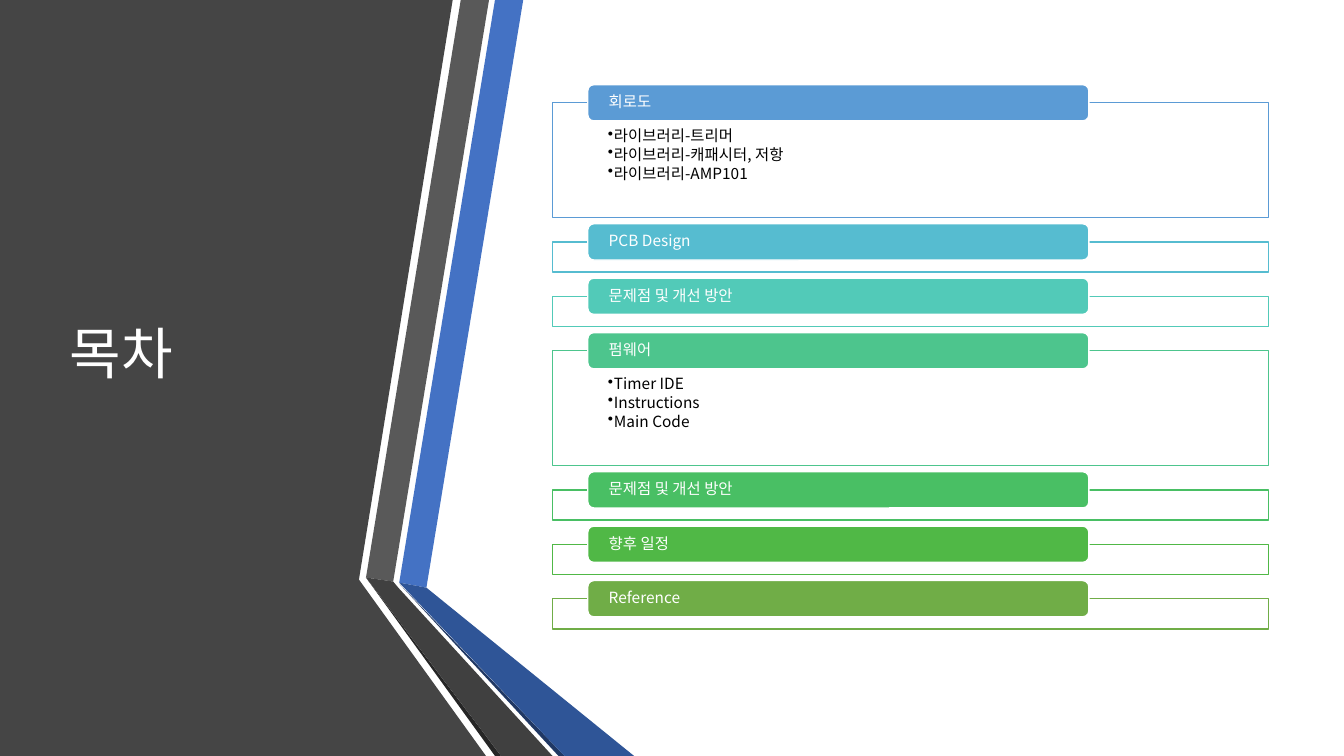
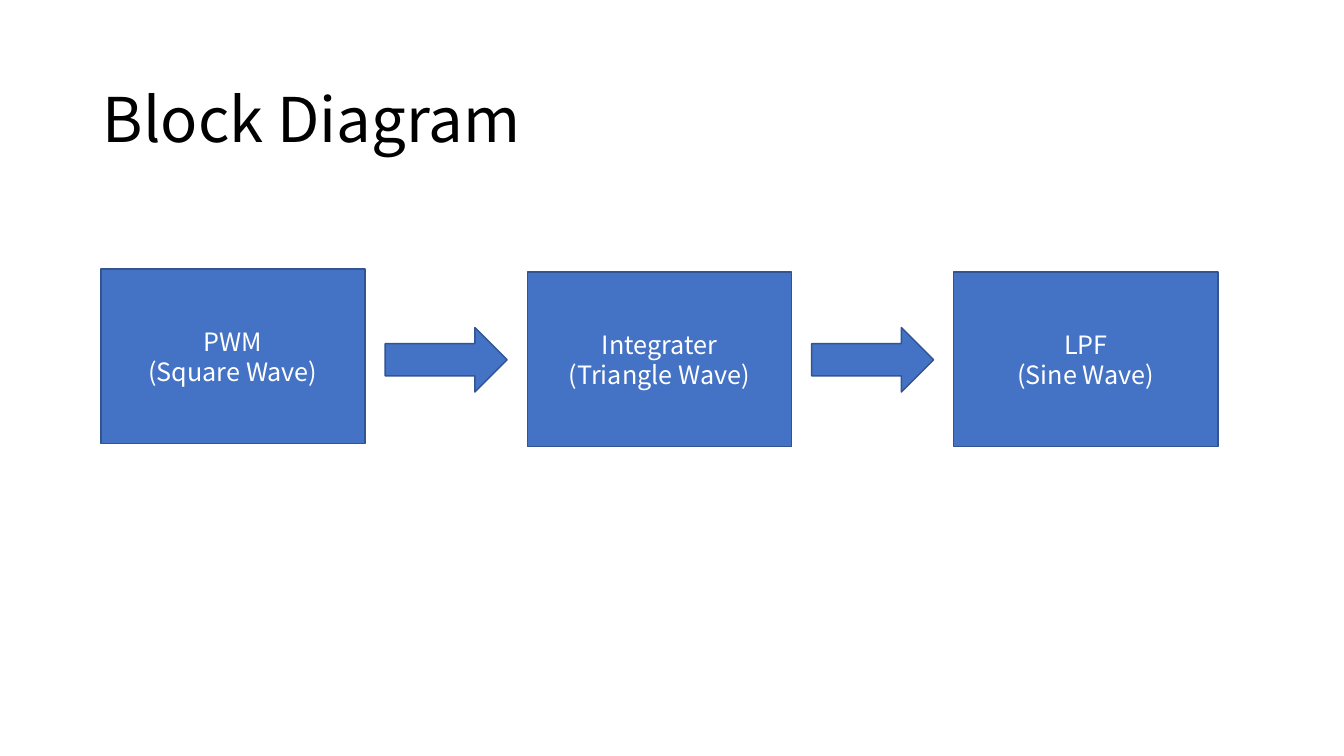
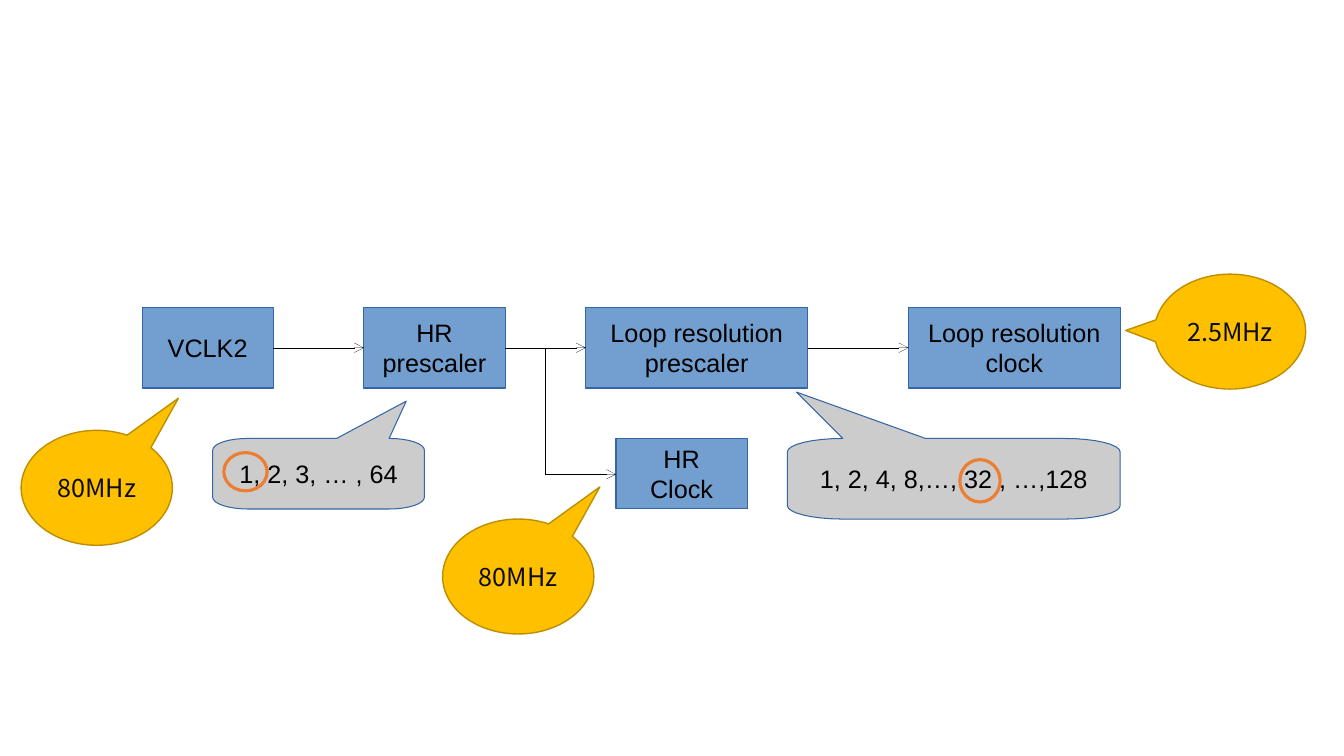
from math import cos, pi, sin

from lxml.etree import SubElement
from pptx import Presentation
from pptx.dml.color import RGBColor
from pptx.enum.shapes import MSO_CONNECTOR, MSO_SHAPE
from pptx.enum.text import MSO_ANCHOR, MSO_AUTO_SIZE, PP_ALIGN
from pptx.oxml.ns import qn
from pptx.util import Inches, Pt

FONT = "Noto Sans CJK KR"
DIAGRAM_FONT = "Arial"
WHITE = RGBColor(0xFF, 0xFF, 0xFF)
BLACK = RGBColor(0x00, 0x00, 0x00)
INK = RGBColor(0x0D, 0x0D, 0x0D)
BLUE = RGBColor(0x44, 0x72, 0xC4)
BLUE_EDGE = RGBColor(0x32, 0x54, 0x91)
BLUE_SHADE = RGBColor(0x2F, 0x55, 0x97)
NAVY = RGBColor(0x20, 0x38, 0x64)
PANEL = RGBColor(0x45, 0x45, 0x45)
GRAY = RGBColor(0x59, 0x59, 0x59)
GRAY_SHADE = RGBColor(0x40, 0x40, 0x40)
GRAY_DARK = RGBColor(0x26, 0x26, 0x26)
BLOCK = RGBColor(0x72, 0x9F, 0xCF)
BLOCK_EDGE = RGBColor(0x34, 0x65, 0xA4)
SILVER = RGBColor(0xCC, 0xCC, 0xCC)
ORANGE = RGBColor(0xED, 0x7D, 0x31)
GOLD = RGBColor(0xFF, 0xC0, 0x00)
GOLD_EDGE = RGBColor(0xBD, 0x8E, 0x00)


def paint(shape, fill=None, line=None, width=1):
    shape.shadow.inherit = False
    if fill is None:
        shape.fill.background()
    else:
        shape.fill.solid()
        shape.fill.fore_color.rgb = fill
    if line is None:
        shape.line.fill.background()
    else:
        shape.line.color.rgb = line
        shape.line.width = Pt(width)


def write(shape, lines, size, color, font=FONT, align=PP_ALIGN.CENTER):
    frame = shape.text_frame
    frame.word_wrap = True
    frame.auto_size = MSO_AUTO_SIZE.NONE
    frame.vertical_anchor = MSO_ANCHOR.MIDDLE
    for index, line in enumerate(lines):
        paragraph = frame.paragraphs[0] if index == 0 else frame.add_paragraph()
        paragraph.alignment = align
        run = paragraph.add_run()
        run.text = line
        run.font.size = Pt(size)
        run.font.color.rgb = color
        run.font.name = font
        SubElement(run._r.get_or_add_rPr(), qn("a:ea"), typeface=font)
    return frame


presentation = Presentation()
presentation.slide_width = Inches(13.33)
presentation.slide_height = Inches(7.5)
title_only, blank = presentation.slide_layouts[5], presentation.slide_layouts[6]

# Slides and titles
contents = presentation.slides.add_slide(title_only)
blocks = presentation.slides.add_slide(title_only)
clocks = presentation.slides.add_slide(blank)
for slide, text, size, color, box in (
    (contents, "목차", 40, WHITE, (0.59, 0.75, 3.04, 5.58)),
    (blocks, "Block Diagram", 44, BLACK, (0.92, 0.4, 11.5, 1.63)),
):
    title = slide.shapes.title
    title.left, title.top, title.width, title.height = map(Inches, box)
    frame = write(title, [text], size, color, align=PP_ALIGN.LEFT)
    frame.paragraphs[0].line_spacing = 0.9

# Contents: dark panel and folded bands
for color, points in (
    (PANEL, [(0, 0), (4.49, 0), (3.56, 5.75), (4.82, 7.5), (0, 7.5)]),
    (BLUE, [(3.96, 5.78), (4.23, 5.83), (5.19, 0), (4.91, 0)]),
    (GRAY, [(4.85, 0), (4.57, 0), (3.63, 5.73), (3.9, 5.77)]),
    (GRAY_DARK, [(3.63, 5.73), (4.91, 7.5), (4.97, 7.5)]),
    (NAVY, [(3.96, 5.79), (5.54, 7.5), (5.6, 7.5)]),
    (BLUE_SHADE, [(3.96, 5.78), (5.6, 7.5), (6.29, 7.5), (4.23, 5.83)]),
    (GRAY_SHADE, [(5.48, 7.5), (3.95, 5.83), (3.9, 5.77), (3.63, 5.73), (4.97, 7.5)]),
):
    corners = [(Inches(x), Inches(y)) for x, y in points]
    builder = contents.shapes.build_freeform(*corners[0])
    builder.add_line_segments(corners[1:])
    paint(builder.convert_to_shape(), color)

# The title belongs in front of the panel
title = contents.shapes.title
title.element.getparent().append(title.element)

# Contents: one framed section after another
tag_top = 0.84
for heading, items, color in (
    ("회로도", ["라이브러리-트리머", "라이브러리-캐패시터, 저항", "라이브러리-AMP101"],
     RGBColor(0x5B, 0x9B, 0xD5)),
    ("PCB Design", [], RGBColor(0x56, 0xBC, 0xD0)),
    ("문제점 및 개선 방안", [], RGBColor(0x52, 0xCA, 0xB8)),
    ("펌웨어", ["Timer IDE", "Instructions", "Main Code"], RGBColor(0x4D, 0xC5, 0x8D)),
    ("문제점 및 개선 방안", [], RGBColor(0x49, 0xBF, 0x64)),
    ("향후 일정", [], RGBColor(0x50, 0xB8, 0x46)),
    ("Reference", [], RGBColor(0x70, 0xAD, 0x47)),
):
    section_top = tag_top + 0.18
    section_height = 1.14 if items else 0.3
    section = contents.shapes.add_shape(
        MSO_SHAPE.RECTANGLE, Inches(5.48), Inches(section_top), Inches(7.1), Inches(section_height))
    paint(section, WHITE, color)
    if items:
        frame = write(section, items, 11, BLACK, align=PP_ALIGN.LEFT)
        frame.vertical_anchor = MSO_ANCHOR.TOP
        frame.margin_left = frame.margin_right = Inches(0.55)
        frame.margin_top = Inches(0.25)
        for paragraph in frame.paragraphs:
            properties = paragraph._p.get_or_add_pPr()
            properties.set("marL", str(Inches(0.06)))
            properties.set("indent", str(-Inches(0.06)))
            SubElement(properties, qn("a:buChar"), char="•")
            paragraph.line_spacing = 0.9
            paragraph.space_after = Pt(1.65)

    tag = contents.shapes.add_shape(
        MSO_SHAPE.ROUNDED_RECTANGLE, Inches(5.83), Inches(tag_top), Inches(4.97), Inches(0.36))
    paint(tag, color, WHITE)
    frame = write(tag, [heading], 11, WHITE, align=PP_ALIGN.LEFT)
    frame.margin_left = frame.margin_right = Inches(0.19)
    frame.margin_top = frame.margin_bottom = 0
    frame.paragraphs[0].line_spacing = 0.9
    frame.paragraphs[0].space_after = Pt(3.85)
    tag_top = section_top + section_height + 0.06

# Block diagram: three stages with arrows between them
for index, (name, wave, top) in enumerate((
    ("PWM", "(Square Wave)", 2.67),
    ("Integrater", "(Triangle Wave)", 2.7),
    ("LPF", "(Sine Wave)", 2.7),
)):
    left = 1 + 4.23 * index
    stage = blocks.shapes.add_shape(
        MSO_SHAPE.RECTANGLE, Inches(left), Inches(top), Inches(2.62), Inches(1.73))
    paint(stage, BLUE, BLUE_EDGE)
    write(stage, [name, wave], 18, WHITE)
    if index < 2:
        arrow = blocks.shapes.add_shape(
            MSO_SHAPE.RIGHT_ARROW, Inches(left + 2.82), Inches(3.25), Inches(1.21), Inches(0.64))
        paint(arrow, BLUE, BLUE_EDGE)

# Clock tree: blocks
clock_blocks = []
for lines, left, top, width, height in (
    (["VCLK2"], 1.41, 3.05, 1.3, 0.8),
    (["HR", "prescaler"], 3.61, 3.05, 1.4, 0.8),
    (["Loop resolution", "prescaler"], 5.81, 3.05, 2.2, 0.8),
    (["Loop resolution", "clock"], 9.01, 3.05, 2.1, 0.8),
    (["HR", "Clock"], 6.11, 4.35, 1.3, 0.7),
):
    block = clocks.shapes.add_shape(
        MSO_SHAPE.RECTANGLE, Inches(left), Inches(top), Inches(width), Inches(height))
    paint(block, BLOCK, BLOCK_EDGE, 0)
    write(block, lines, 18, BLACK, DIAGRAM_FONT)
    clock_blocks.append(block)

# Clock tree: arrows along the row and the branch down to the HR clock
connectors = []
main_row = clock_blocks[:4]
for source, target in zip(main_row, main_row[1:]):
    connector = clocks.shapes.add_connector(MSO_CONNECTOR.STRAIGHT, 0, 0, 0, 0)
    connector.begin_connect(source, 3)
    connector.end_connect(target, 1)
    connectors.append(connector)

center_x, center_y, drop, run_length = 5.76, 4.08, 1.25, 0.7
branch = clocks.shapes.add_connector(
    MSO_CONNECTOR.ELBOW,
    Inches(center_x + drop / 2), Inches(center_y - run_length / 2),
    Inches(center_x - drop / 2), Inches(center_y + run_length / 2))
branch_properties = branch.element.spPr
branch_properties.find(qn("a:xfrm")).set("rot", "16200000")
branch_properties.find(qn("a:prstGeom")).set("prst", "bentConnector2")
connectors.append(branch)

for connector in connectors:
    connector.line.color.rgb = BLACK
    hairline = connector.element.spPr.find(qn("a:ln"))
    hairline.set("w", "0")
    SubElement(hairline, qn("a:tailEnd"), type="arrow")
    SubElement(connector.element.spPr, qn("a:effectLst"))

# Clock tree: grey callouts with elliptical corners; the tail spans two points of the top edge
for text, left, top, width, height, tail in (
    ("1, 2, 3, … , 64", 2.11, 4.35, 2.1, 0.7, [(3.34, 4.35), (4.03, 3.98)]),
    ("1, 2, 4, 8,…, 32 , …,128", 7.81, 4.35, 3.3, 0.8, [(7.9, 3.89), (9.18, 4.35)]),
):
    radius_x, radius_y = width / 6, height / 6
    near_x, far_x = left + radius_x, left + width - radius_x
    near_y, far_y = top + radius_y, top + height - radius_y
    outline = []
    for corner, (x, y) in enumerate(
            ((near_x, near_y), (far_x, near_y), (far_x, far_y), (near_x, far_y))):
        for step in range(9):
            angle = pi + (corner + step / 8) * pi / 2
            outline.append((x + radius_x * cos(angle), y + radius_y * sin(angle)))
        if corner == 0:
            outline += tail
    outline = [(Inches(x), Inches(y)) for x, y in outline]
    builder = clocks.shapes.build_freeform(*outline[0])
    builder.add_line_segments(outline[1:])
    callout = builder.convert_to_shape()
    paint(callout, SILVER, BLOCK_EDGE, 0)
    frame = write(callout, [text], 18, BLACK, DIAGRAM_FONT)
    frame.margin_top = Inches(top + 0.05) - callout.top

# Clock tree: rings around the chosen values
for box in ((2.22, 4.49, 0.43, 0.38), (9.52, 4.56, 0.4, 0.42)):
    ring = clocks.shapes.add_shape(MSO_SHAPE.OVAL, *map(Inches, box))
    paint(ring, None, ORANGE, 2.25)

# Clock tree: frequency callouts
for text, left, top, tip_x, tip_y in (
    ("80MHz", 0.21, 4.27, 0.54, -0.78),
    ("80MHz", 4.39, 5.15, 0.54, -0.78),
    ("2.5MHz", 11.45, 2.72, -0.69, -0.01),
):
    balloon = clocks.shapes.add_shape(
        MSO_SHAPE.OVAL_CALLOUT, Inches(left), Inches(top), Inches(1.5), Inches(1.14))
    balloon.adjustments[0] = tip_x
    balloon.adjustments[1] = tip_y
    paint(balloon, GOLD, GOLD_EDGE)
    write(balloon, [text], 18, INK)

presentation.save("out.pptx")
